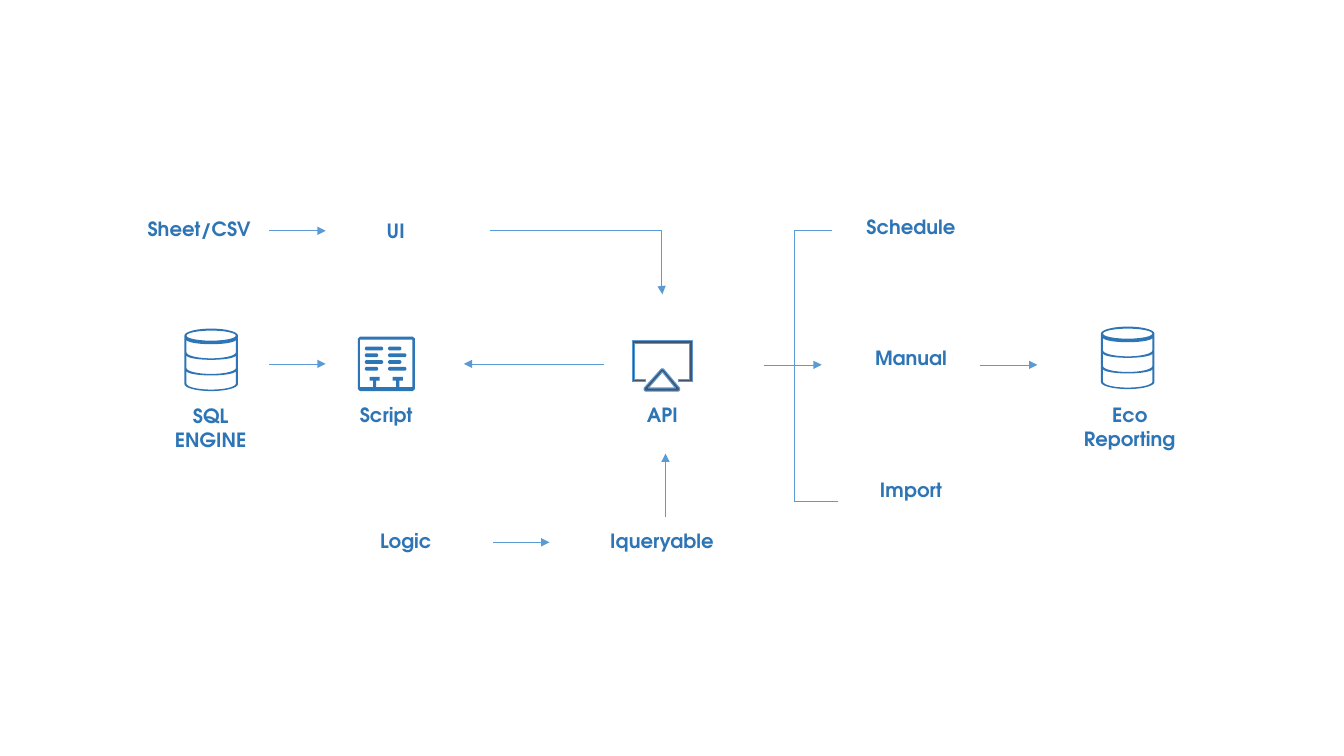
from math import cos, pi, sin
from lxml import etree
from pptx import Presentation, util as u
from pptx.dml.color import RGBColor
from pptx.enum import shapes, text
from pptx.oxml.ns import qn

HUES = {"ink": "2E75B6", "line": "5B9BD5", "slate": "44546A", "page": "FFFFFF"}
FONT = {"name": "TeX Gyre Adventor", "size": u.Pt(14), "bold": True}
FRAME = {"word_wrap": True, "vertical_anchor": text.MSO_ANCHOR.TOP}
SIDES = ("left", "right", "top", "bottom")
PAD, TALL = 0.13, 0.51

LABELS = [
    ("Sheet/CSV", 1.28, 2.03, 1.39), ("UI", 3.23, 2.05, 1.39),
    ("SQL ENGINE", 1.51, 3.88, 1.16), ("Script", 3.25, 3.88, 1.16),
    ("API", 5.99, 3.88, 1.16), ("Eco Reporting", 10.6, 3.87, 1.21),
    ("Logic", 3.33, 5.13, 1.39), ("Iqueryable", 5.87, 5.13, 1.39),
    ("Schedule", 8.34, 2.01, 1.39), ("Manual", 8.34, 3.31, 1.39),
    ("Import", 8.34, 4.62, 1.39),
]
ARROWS = [
    (2.67, 2.29, 3.23, 2.29), (2.67, 3.61, 3.23, 3.61),
    (5.99, 3.61, 4.6, 3.61), (6.6, 5.13, 6.6, 4.5),
    (4.89, 5.38, 5.45, 5.38), (9.72, 3.62, 10.29, 3.62),
]
BEND = (4.86, 2.29, 6.57, 2.92)
FORK = (7.58, 3.62, 8.15, 3.62)
BRACE = [(7.88, 2.29, 8.25, 2.29), (7.88, 4.97, 8.31, 4.97), (7.88, 2.29, 7.88, 4.97)]
DRUMS = [(1.83, 3.26), (10.92, 3.24)]
SCRIPT = (3.55, 3.34)
BARS = [(0.07, 0.18), (0.07, 0.13), (0.3, 0.13), (0.3, 0.18)]
SCREEN = [
    [(6.27, 3.38), (6.87, 3.38), (6.87, 3.79), (6.73, 3.79), (6.73, 3.77),
     (6.84, 3.77), (6.84, 3.41), (6.29, 3.41), (6.29, 3.77), (6.4, 3.77),
     (6.4, 3.79), (6.27, 3.79)],
    [(6.57, 3.66), (6.58, 3.66), (6.74, 3.85), (6.74, 3.87), (6.73, 3.88),
     (6.4, 3.88), (6.39, 3.87), (6.39, 3.85), (6.56, 3.66)],
    [(6.43, 3.85), (6.57, 3.69), (6.7, 3.85)],
]


def tint(name):
    return RGBColor.from_string(HUES[name])


def apply(thing, style):
    for key, value in style.items():
        setattr(thing, key, value)


def arc(x, y, wide, high, start, end, steps=24):
    turns = [start + (end - start) * i / steps for i in range(steps + 1)]
    return [(x + wide * cos(t), y + high * sin(t)) for t in turns]


def drum(left, top):
    x = left + 0.265
    body = arc(x, top + 0.07, 0.265, 0.07, pi, 2 * pi)
    body += arc(x, top + 0.55, 0.265, 0.07, 0, pi)
    lid = arc(x, top + 0.07, 0.245, 0.05, 0, 2 * pi)
    bands = []
    for row in range(3):
        y = top + 0.11 + 0.155 * row
        bands.append(arc(x, y, 0.245, 0.045, pi, 0)
                     + arc(x, y + 0.125, 0.245, 0.06, 0, pi))
    return [body, lid] + bands


def box(x, y, wide, high, cut):
    right, low = x + wide, y + high
    return [(x + cut, y), (right - cut, y), (right, y + cut), (right, low - cut),
            (right - cut, low), (x + cut, low), (x, low - cut), (x, y + cut)]


def sheet(left, top):
    hole = [(0.54, 0.5), (0.54, 0.03), (0.02, 0.03), (0.02, 0.5)]
    for x in (0.165, 0.395):
        hole += [(x - 0.015, 0.5), (x - 0.015, 0.435), (x - 0.05, 0.435),
                 (x - 0.05, 0.4), (x + 0.05, 0.4), (x + 0.05, 0.435),
                 (x + 0.015, 0.435), (x + 0.015, 0.5)]
    parts = [box(left, top, 0.565, 0.54, 0.02), [(left + x, top + y) for x, y in hole]]
    for row in range(4):
        for side in range(2):
            x, wide = BARS[side * 2 + (row + side) % 2] if side == 0 else BARS[2 + row % 2]
            if side == 0:
                x, wide = BARS[row % 2]
            parts.append(box(left + x, top + 0.1 + 0.067 * row, wide, 0.035, 0.01))
    return parts


def draw(page, loops, fill, edge=None):
    spots = [[(u.Inches(x), u.Inches(y)) for x, y in loop] for loop in loops]
    pen = page.build_freeform(*spots[0][0])
    pen.add_line_segments(spots[0][1:], close=True)
    for loop in spots[1:]:
        pen.move_to(*loop[0])
        pen.add_line_segments(loop[1:], close=True)
    form = pen.convert_to_shape()
    form.shadow.inherit = False
    form.fill.solid()
    form.fill.fore_color.rgb = tint(fill)
    if edge:
        form.line.color.rgb = tint(edge)
        form.line.width = u.Pt(0.75)
    else:
        form.line.fill.background()


def join(page, ends, head=True, kind=shapes.MSO_CONNECTOR.STRAIGHT):
    wire = page.add_connector(kind, *map(u.Inches, ends))
    wire.line.color.rgb = tint("line")
    wire.line.width = u.Pt(0.5)
    props = wire._element.spPr
    if head:
        etree.SubElement(props.find(qn("a:ln")), qn("a:tailEnd"), type="triangle")
    etree.SubElement(props, qn("a:effectLst"))
    return wire


def label(page, words, x, y, wide):
    frame = page.add_textbox(*map(u.Inches, (x, y, wide, TALL))).text_frame
    apply(frame, FRAME)
    apply(frame, {"margin_" + side: u.Inches(PAD) for side in SIDES})
    line = frame.paragraphs[0]
    line.alignment = text.PP_ALIGN.CENTER
    run = line.add_run()
    run.text = words
    apply(run.font, FONT)
    run.font.color.rgb = tint("ink")


def main():
    deck = Presentation()
    apply(deck, {"slide_width": u.Inches(13.33), "slide_height": u.Inches(7.5)})
    slide = deck.slides.add_slide(deck.slide_layouts[6])
    slide.background.fill.solid()
    slide.background.fill.fore_color.rgb = tint("page")
    page = slide.shapes
    for spot in DRUMS:
        draw(page, drum(*spot), "ink")
    draw(page, sheet(*SCRIPT), "ink")
    draw(page, SCREEN, "slate", "line")
    for ends in ARROWS:
        join(page, ends)
    bend = join(page, BEND, kind=shapes.MSO_CONNECTOR.ELBOW)
    shape = bend._element.spPr.find(qn("a:prstGeom"))
    guides = shape.find(qn("a:avLst"))
    if guides is None:
        guides = etree.SubElement(shape, qn("a:avLst"))
    etree.SubElement(guides, qn("a:gd"), name="adj1", fmla="val 99600")
    group = page.add_group_shape().shapes
    join(group, FORK)
    for ends in BRACE:
        join(group, ends, head=False)
    for item in LABELS:
        label(page, *item)
    deck.save("out.pptx")


if __name__ == "__main__":
    main()
